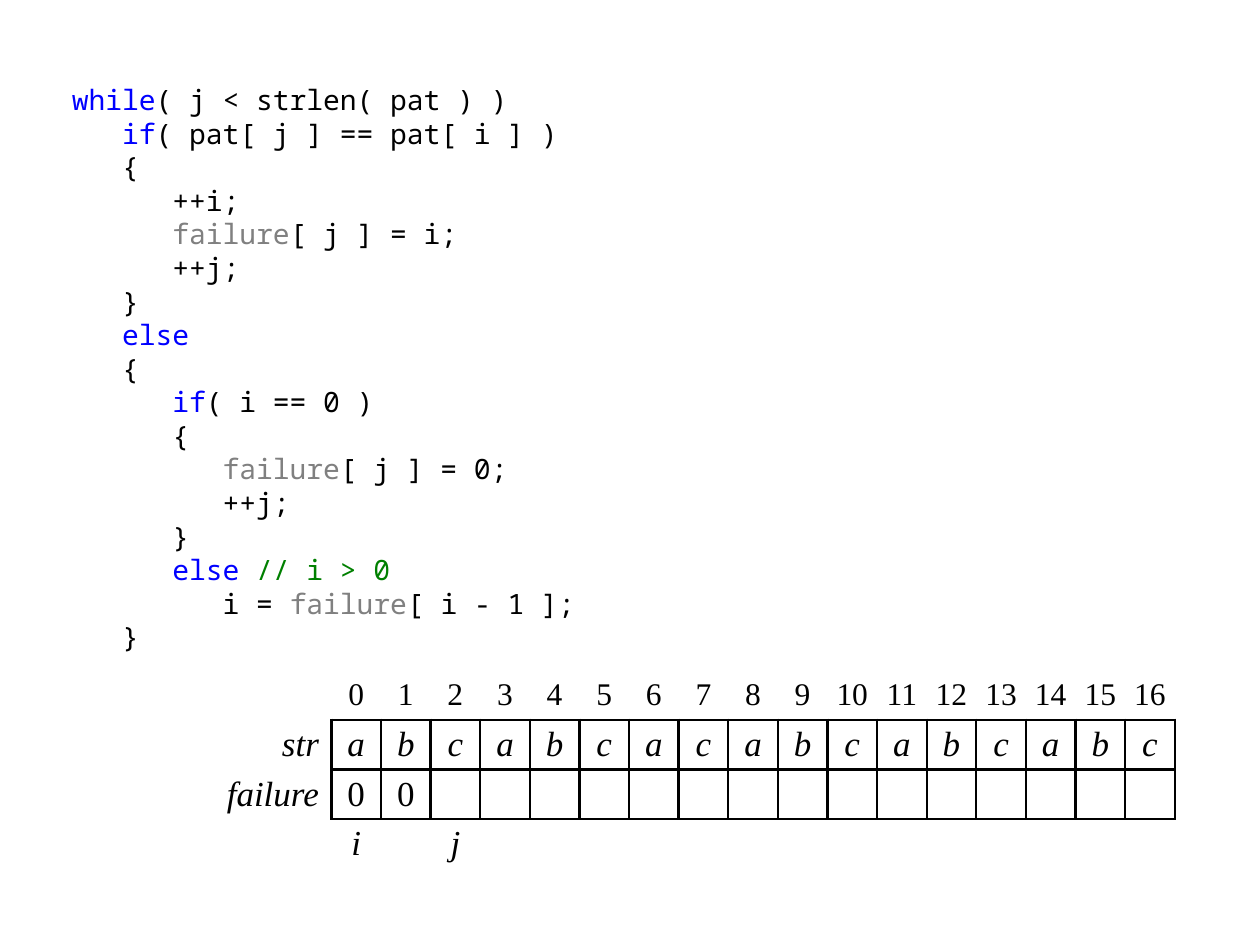
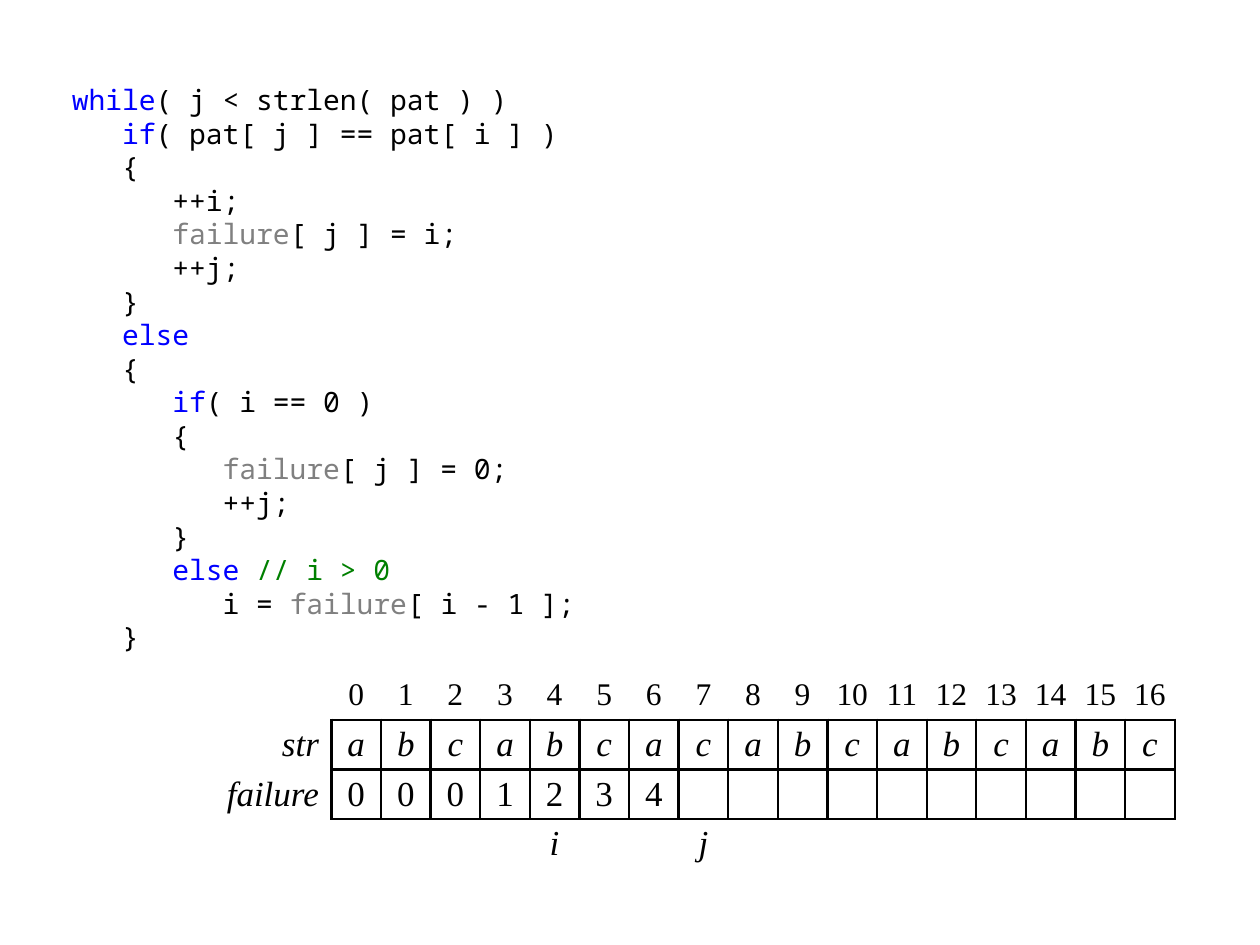
from lxml import etree
from pptx import Presentation
from pptx.dml.color import RGBColor
from pptx.enum.text import MSO_ANCHOR, PP_ALIGN
from pptx.oxml.ns import qn
from pptx.util import Cm, Pt

MIDDLE = MSO_ANCHOR.MIDDLE
CENTER, RIGHT = PP_ALIGN.CENTER, PP_ALIGN.RIGHT
BLACK, BLUE, GREY, GREEN = "000000", "0000FF", "808080", "008000"
NO_GRID = "{2D5ABB26-0587-4C30-8999-92F81FD0307C}"

# Code, with "|" between pieces of different colour
TINTS = {"while": BLUE, "if": BLUE, "else": BLUE,
         "failure": GREY, "// i > 0": GREEN}
CODE = """\
while|( j < strlen( pat ) )
   |if|( pat[ j ] == pat[ i ] )
   {
      ++i;
      |failure|[ j ] = i;
      ++j;
   }
   |else
   {
      |if|( i == 0 )
      {
         |failure|[ j ] = 0;
         ++j;
      }
      |else |// i > 0
         i = |failure|[ i - 1 ];
   }"""

# Text searched, and the state of the search on each slide
WORD = "abcabcacabcabcabc"
STEPS = [{"fails": "00", "i": 0, "j": 2},
         {"fails": "0001234", "i": 4, "j": 7}]
SIDES = [("lnL", 0, -1), ("lnR", 0, 1), ("lnT", -1, 0), ("lnB", 1, 0)]


def style(run, tint=BLACK, **form):
    run.font.color.rgb = RGBColor.from_string(tint)
    for key, value in form.items():
        setattr(run.font, key, value)


def boxed(row, col):
    return row in (1, 2) and 1 <= col <= len(WORD)


deck = Presentation()
deck.slide_width, deck.slide_height = Cm(25.4), Cm(19.05)

for step in STEPS:
    slide = deck.slides.add_slide(deck.slide_layouts[6])

    # Code listing
    frame = slide.shapes.add_textbox(Cm(1.2), Cm(1.54), Cm(11), Cm(12)).text_frame
    frame.word_wrap = True
    for num, line in enumerate(CODE.split("\n")):
        para = frame.paragraphs[0] if num == 0 else frame.add_paragraph()
        para.line_spacing = Pt(19.2)
        for piece in line.split("|"):
            run = para.add_run()
            run.text = piece
            style(run, TINTS.get(piece.strip(), BLACK),
                  name="Noto Sans Mono", size=Pt(16))

    # Rows of the table: index, text, failure values, pointers
    size = len(WORD)
    marks = [""] * size
    marks[step["i"]], marks[step["j"]] = "i", "j"
    rows = [["", *map(str, range(size))],
            ["str", *WORD],
            ["failure", *step["fails"].ljust(size)],
            ["", *marks]]

    # Plain table of square cells
    table = slide.shapes.add_table(len(rows), size + 1, Cm(4.18), Cm(13.51),
                                   Cm(size + 2.5), Cm(len(rows))).table
    table.first_row = table.horz_banding = False
    table._tbl.tblPr.find(qn("a:tableStyleId")).text = NO_GRID
    for col, column in enumerate(table.columns):
        column.width = Cm(1 if col else 2.5)

    for row, texts in enumerate(rows):
        table.rows[row].height = Cm(1)
        for col, text in enumerate(texts):
            cell = table.cell(row, col)
            cell.fill.background()
            cell.vertical_anchor = MIDDLE
            cell.margin_left = cell.margin_right = Cm(0.1 if col else 0.25)
            cell.margin_top = cell.margin_bottom = 0
            para = cell.text_frame.paragraphs[0]
            para.alignment = CENTER if col else RIGHT
            if text.strip():
                run = para.add_run()
                run.text = text
                style(run, name="Times New Roman", size=Pt(20 if row else 18),
                      italic=text.isalpha())

            # Both cells at an edge of the grid carry its line
            props = cell._tc.get_or_add_tcPr()
            edges = [side for side, down, right in SIDES
                     if boxed(row, col) or boxed(row + down, col + right)]
            for spot, side in enumerate(edges):
                edge = etree.Element(qn("a:" + side), w=str(Pt(1.5)))
                fill = etree.SubElement(edge, qn("a:solidFill"))
                etree.SubElement(fill, qn("a:srgbClr"), val=BLACK)
                props.insert(spot, edge)

deck.save("out.pptx")
